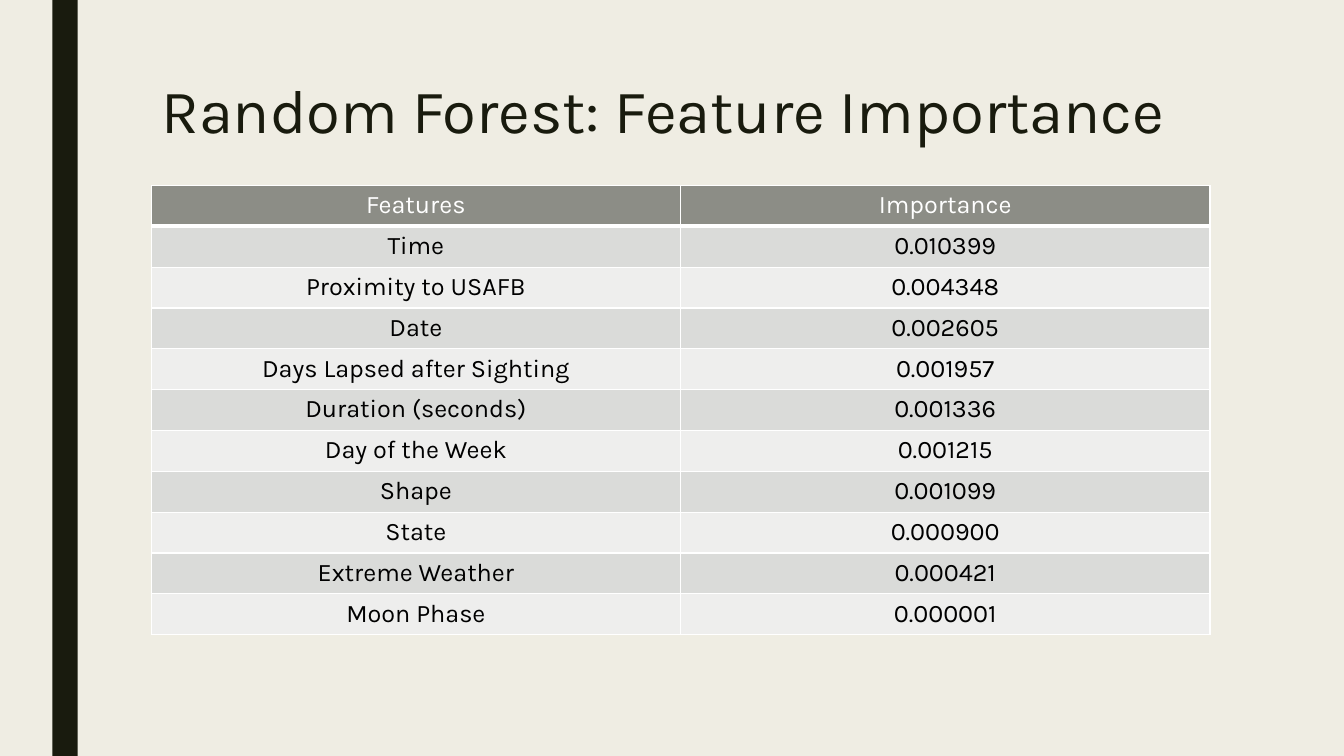
"""Build the slide that ranks random forest features by importance."""
import pptx
import pptx.dml.color
import pptx.enum.shapes
import pptx.enum.text
import pptx.oxml
import pptx.oxml.ns
import pptx.util

HEADING = "Random Forest: Feature Importance"
RANKING = [
    ("Features", "Importance"),
    ("Time", "0.010399"),
    ("Proximity to USAFB", "0.004348"),
    ("Date", "0.002605"),
    ("Days Lapsed after Sighting", "0.001957"),
    ("Duration (seconds)", "0.001336"),
    ("Day of the Week", "0.001215"),
    ("Shape", "0.001099"),
    ("State", "0.000900"),
    ("Extreme Weather", "0.000421"),
    ("Moon Phase", "0.000001"),
]
THEME = {
    "font": "Karla", "heading_size": 44, "body_size": 18,
    "paper": "EFEDE3", "ink": "191B0E", "header": "8C8D86",
    "bands": ("EEEEED", "DADBD9"), "rule": "FFFFFF", "body": "000000",
}
WIDTH, HEIGHT = 13.33, 7.5
MARGIN, CONTENT_WIDTH = 1.5, 10.5
HEADING_BOX = (MARGIN, HEIGHT / 10, CONTENT_WIDTH, 1.62)
RANKING_BOX = (MARGIN, 1.84, CONTENT_WIDTH, 4.46)
STRIPE_BOX = (0.52, 0, 0.25, HEIGHT)


def inches(box):
    return [pptx.util.Inches(length) for length in box]


def paint(fill, color):
    fill.solid()
    fill.fore_color.rgb = pptx.dml.color.RGBColor.from_string(color)


def write(frame, text, size, color, **paragraph_format):
    frame.text = text
    paragraph = frame.paragraphs[0]
    for name, value in paragraph_format.items():
        setattr(paragraph, name, value)
    font = paragraph.runs[0].font
    for name, value in {"name": THEME["font"], "size": pptx.util.Pt(size), "bold": False}.items():
        setattr(font, name, value)
    paint(font.fill, color)


def rule_cell(cell, bottom):
    properties = cell._tc.get_or_add_tcPr()
    for position, (side, points) in enumerate({"L": 1, "R": 1, "T": 1, "B": bottom}.items()):
        properties.insert(position, pptx.oxml.parse_xml(
            f'<a:ln{side} {pptx.oxml.ns.nsdecls("a")} w="{pptx.util.Pt(points)}">'
            f'<a:solidFill><a:srgbClr val="{THEME["rule"]}"/></a:solidFill></a:ln{side}>'))


def add_stripe(slide):
    stripe = slide.shapes.add_shape(
        pptx.enum.shapes.MSO_SHAPE.RECTANGLE, *inches(STRIPE_BOX))
    stripe.shadow.inherit = False
    paint(stripe.fill, THEME["ink"])
    stripe.line.fill.background()


def add_heading(slide):
    heading = slide.shapes.title
    for name, value in zip(("left", "top", "width", "height"), inches(HEADING_BOX)):
        setattr(heading, name, value)
    frame_format = {
        "word_wrap": True,
        "auto_size": pptx.enum.text.MSO_AUTO_SIZE.NONE,
        "vertical_anchor": pptx.enum.text.MSO_ANCHOR.TOP,
    }
    for name, value in frame_format.items():
        setattr(heading.text_frame, name, value)
    write(heading.text_frame, HEADING, THEME["heading_size"], THEME["ink"],
          alignment=pptx.enum.text.PP_ALIGN.LEFT, line_spacing=0.89)


def add_ranking(slide):
    table = slide.shapes.add_table(
        len(RANKING), len(RANKING[0]), *inches(RANKING_BOX)).table
    for row, entry in enumerate(RANKING):
        is_header = row == 0
        fill = THEME["header"] if is_header else THEME["bands"][row % 2]
        color = THEME["rule"] if is_header else THEME["body"]
        for column, text in enumerate(entry):
            cell = table.cell(row, column)
            write(cell.text_frame, text, THEME["body_size"], color,
                  alignment=pptx.enum.text.PP_ALIGN.CENTER)
            paint(cell.fill, fill)
            rule_cell(cell, bottom=3 if is_header else 1)


def main():
    deck = pptx.Presentation()
    deck.slide_width, deck.slide_height = inches((WIDTH, HEIGHT))
    slide = deck.slides.add_slide(deck.slide_layouts.get_by_name("Title Only"))
    paint(slide.background.fill, THEME["paper"])
    add_stripe(slide)
    add_heading(slide)
    add_ranking(slide)
    deck.save("out.pptx")


if __name__ == "__main__":
    main()
